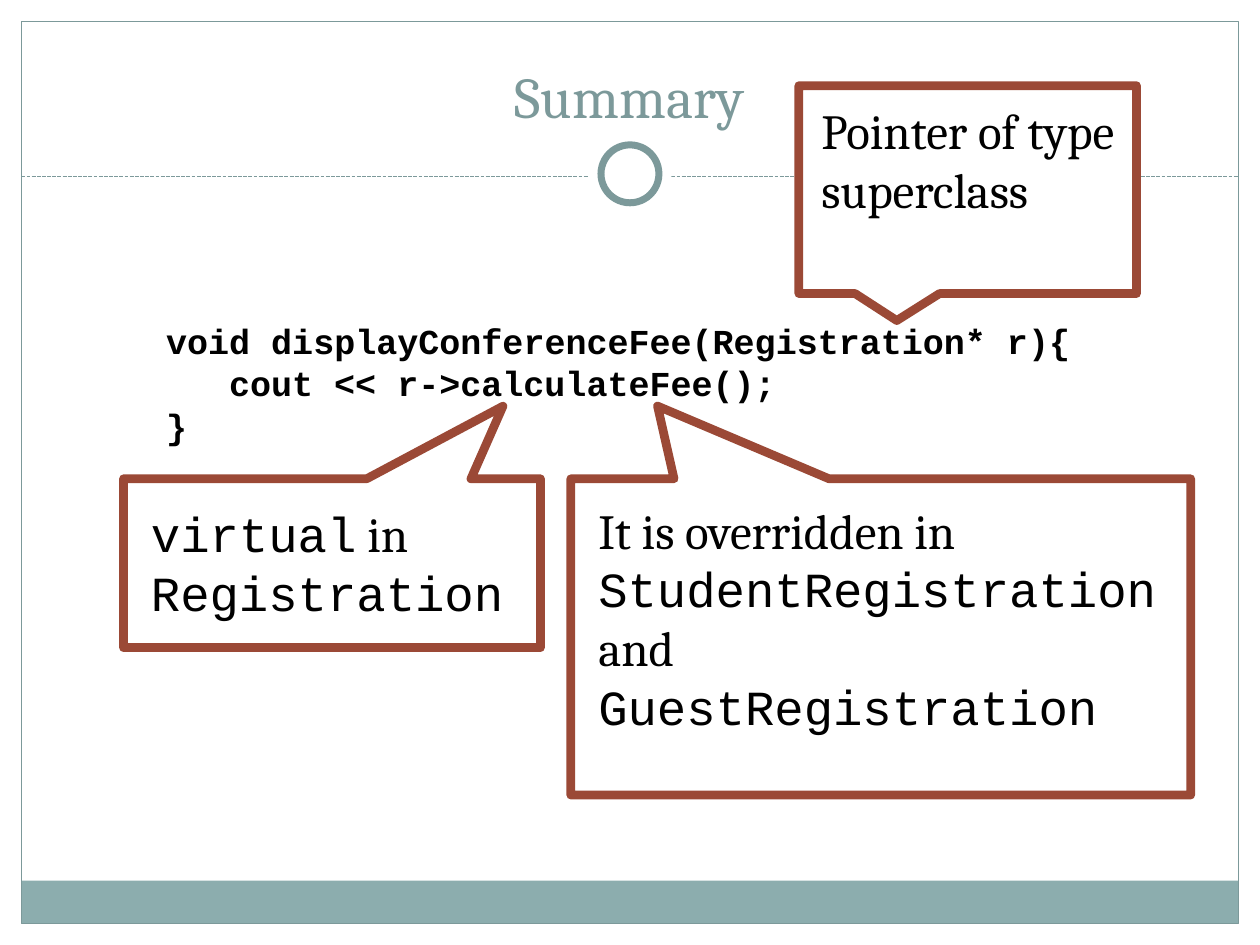
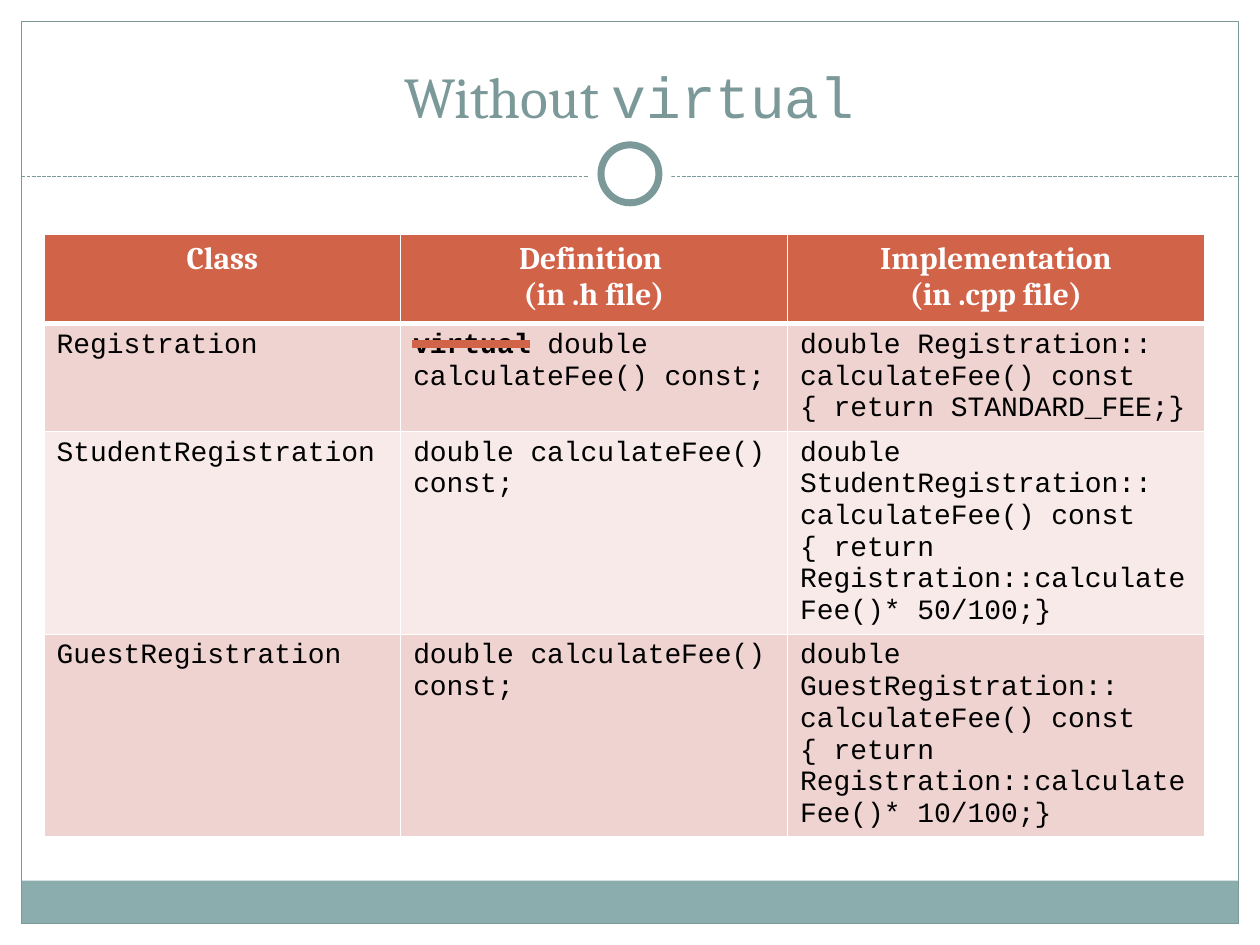
from dataclasses import dataclass

from lxml import etree
from pptx import Presentation
from pptx import util as u
from pptx.dml.color import RGBColor
from pptx.enum import dml, shapes, text
from pptx.oxml import ns

COLS, ROWS = 100, 75  # slide grid


@dataclass(frozen=True)
class Theme:
    paper: str = "FFFFFF"
    ink: str = "000000"
    teal: str = "7C999A"
    band: str = "8CADAE"
    rust: str = "9B4936"
    accent: str = "D16349"
    stripes: tuple = ("EED3D0", "F7EAE9")
    serif: str = "Cambria"
    mono: str = "Courier New"
    title: int = 33
    note: int = 28
    code: int = 20
    head: int = 18
    cell: int = 16
    hairline: float = 0.75
    ring: int = 4
    heavy: int = 5


T = Theme()
MONO = {"font": T.mono}
BOLD = {"bold": True}

prs = Presentation()
prs.slide_width, prs.slide_height = u.Inches(10), u.Inches(7.5)


@dataclass(frozen=True)
class Box:
    """An area measured in columns and rows of the slide grid."""
    x: float
    y: float
    w: float
    h: float

    def inset(self, dx, dy):
        return Box(self.x + dx, self.y + dy, self.w - 2 * dx, self.h - 2 * dy)

    def emu(self):
        cw, rh = prs.slide_width / COLS, prs.slide_height / ROWS
        return [round(v) for v in (self.x * cw, self.y * rh, self.w * cw, self.h * rh)]


PAGE = Box(0, 0, COLS, ROWS)
FRAME = PAGE.inset(1.7, 1.7)


def rgb(color):
    return RGBColor.from_string(color)


def write(tf, paragraphs, font=T.serif, size=T.note, color=T.ink, bold=False,
          align=None, indents=()):
    """Each paragraph is a list of runs: a string, or (string, overrides)."""
    for i, runs in enumerate(paragraphs):
        p = tf.paragraphs[0] if i == 0 else tf.add_paragraph()
        p.alignment = align
        if i < len(indents) and indents[i]:
            p._p.get_or_add_pPr().set("marL", str(u.Inches(indents[i])))
        for run in runs:
            words, own = (run, {}) if isinstance(run, str) else run
            r = p.add_run()
            r.text = words
            r.font.name = own.get("font", font)
            r.font.size = u.Pt(size)
            r.font.bold = own.get("bold", bold)
            r.font.color.rgb = rgb(color)


def add_text(s, box, paragraphs, **fmt):
    tf = s.shapes.add_textbox(*box.emu()).text_frame
    tf.word_wrap = True
    tf.auto_size = text.MSO_AUTO_SIZE.SHAPE_TO_FIT_TEXT
    write(tf, paragraphs, **fmt)


def add_shape(s, kind, box, fill=None, line=None, width=T.hairline):
    sp = s.shapes.add_shape(kind, *box.emu())
    sp.shadow.inherit = False
    if fill:
        sp.fill.solid()
        sp.fill.fore_color.rgb = rgb(fill)
    else:
        sp.fill.background()
    if line:
        sp.line.color.rgb = rgb(line)
        sp.line.width = u.Pt(width)
    else:
        sp.line.fill.background()
    return sp


def add_rule(s, box, color, width, dash=None):
    """A level line along the top of the box."""
    x, y, w, _ = box.emu()
    c = s.shapes.add_connector(shapes.MSO_CONNECTOR.STRAIGHT, x, y, x + w, y)
    c.line.color.rgb = rgb(color)
    c.line.width = u.Pt(width)
    if dash:
        c.line.dash_style = dash
    etree.SubElement(c._element.spPr, ns.qn("a:effectLst"))
    return c


def dress_layout(s, layout):
    """Draw the shared frame, then move it behind the layout's placeholders."""
    kinds = shapes.MSO_SHAPE
    ring = Box(47.7, 11.5, 4.6, 4.6)
    parts = [
        add_shape(s, kinds.RECTANGLE, Box(FRAME.x, 69.9, FRAME.w, 3.4), fill=T.band),
        add_shape(s, kinds.RECTANGLE, FRAME, line=T.teal),
        add_rule(s, Box(FRAME.x, 14, FRAME.w, 0), T.teal, T.hairline,
                 dml.MSO_LINE.SQUARE_DOT),
        add_shape(s, kinds.OVAL, ring.inset(-1, -1), fill=T.paper),
        add_shape(s, kinds.OVAL, ring, T.paper, T.teal, T.ring),
    ]
    for i, part in enumerate(parts):
        layout.shapes._spTree.insert(2 + i, part._element)


def set_title(s, runs):
    sp = s.shapes.title
    sp.left, sp.top, sp.width, sp.height = Box(3.3, 2.5, 93.3, 8.3).emu()
    tf = sp.text_frame
    tf.auto_size = text.MSO_AUTO_SIZE.NONE
    tf.vertical_anchor = text.MSO_ANCHOR.BOTTOM
    write(tf, [runs], size=T.title, color=T.teal, align=text.PP_ALIGN.CENTER)


def add_callout(s, box, runs, tip, pad, fill=None):
    """A bubble whose tip is given in shares of the box, from its middle."""
    sp = add_shape(s, shapes.MSO_SHAPE.RECTANGULAR_CALLOUT, box, fill, T.rust, T.heavy)
    sp.adjustments[0], sp.adjustments[1] = tip
    add_text(s, box.inset(*pad), [runs])


def summary_slide(s):
    set_title(s, ["Summary"])
    # Code
    add_text(s, Box(12.2, 24.9, 79.5, 11.1),
             [["void displayConferenceFee(Registration* r){"],
              ["cout << r->calculateFee();"],
              ["}"]],
             font=T.mono, size=T.code, bold=True, indents=(0, 0.5, 0))
    # Notes on the code
    add_callout(s, Box(9.8, 38, 33.1, 13.4),
                [("virtual", MONO), " in ", ("Registration", MONO)],
                tip=(0.41, -0.93), pad=(1.2, 1.5))
    add_callout(s, Box(45.3, 38, 49.2, 25.1),
                ["It is overridden in ", ("StudentRegistration", MONO), " and ",
                 ("GuestRegistration", MONO)],
                tip=(-0.36, -0.73), pad=(1.2, 1.2))
    add_callout(s, Box(63.4, 6.8, 26.8, 16.5), ["Pointer of type superclass"],
                tip=(-0.21, 0.63), pad=(0.8, 0.7), fill=T.paper)


def set_borders(cell, **widths):
    tcPr = cell._tc.get_or_add_tcPr()
    for side in "LRTB":
        ln = etree.SubElement(tcPr, ns.qn(f"a:ln{side}"),
                              w=str(u.Pt(widths.get(side, 1))))
        fill = etree.SubElement(ln, ns.qn("a:solidFill"))
        etree.SubElement(fill, ns.qn("a:srgbClr"), val=T.paper)


def add_fee_table(s, box, widths, heights, head, body):
    table = s.shapes.add_table(len(heights), len(widths), *box.emu()).table
    for col, w in zip(table.columns, widths):
        col.width = u.Inches(w / 10)
    for row, h in zip(table.rows, heights):
        row.height = u.Inches(h / 10)
    for i, row in enumerate([head] + body):
        for j, paragraphs in enumerate(row):
            cell = table.cell(i, j)
            set_borders(cell, B=3 if i == 0 else 1, T=3 if i == 1 else 1)
            cell.fill.solid()
            if i == 0:
                cell.fill.fore_color.rgb = rgb(T.accent)
                write(cell.text_frame, paragraphs, size=T.head, color=T.paper,
                      bold=True, align=text.PP_ALIGN.CENTER)
            else:
                cell.fill.fore_color.rgb = rgb(T.stripes[(i - 1) % 2])
                write(cell.text_frame, paragraphs, font=T.mono, size=T.cell)


def implementation(name, result):
    return [[f"double {name}:: calculateFee() const {{ return {result};}}"]]


def without_virtual_slide(s):
    set_title(s, ["Without ", ("virtual", MONO)])
    # Class table
    definition = "double calculateFee() const;"
    head = [[["Class"]],
            [["Definition "], ["(in .h file)"]],
            [["Implementation"], ["(in .cpp file)"]]]
    body = [[[["Registration"]], [[("virtual", BOLD), " " + definition]],
             implementation("Registration", "STANDARD_FEE")]]
    for name, percent in (("StudentRegistration", 50), ("GuestRegistration", 10)):
        body.append([[[name]], [[definition]], implementation(
            name, f"Registration::calculateFee()* {percent}/100")])
    add_fee_table(s, Box(3.5, 18.6, 92.1, 30.3), (28.3, 30.7, 33.1),
                  (7.1, 5.1, 5.1, 13), head, body)
    # Strike through the keyword
    add_rule(s, Box(32.7, 27.3, 9.4, 0), T.accent, T.heavy)


def main():
    layout = prs.slide_layouts[5]
    for i, build in enumerate((summary_slide, without_virtual_slide)):
        s = prs.slides.add_slide(layout)
        if i == 0:
            dress_layout(s, layout)
        build(s)
    prs.save("out.pptx")


if __name__ == "__main__":
    main()
